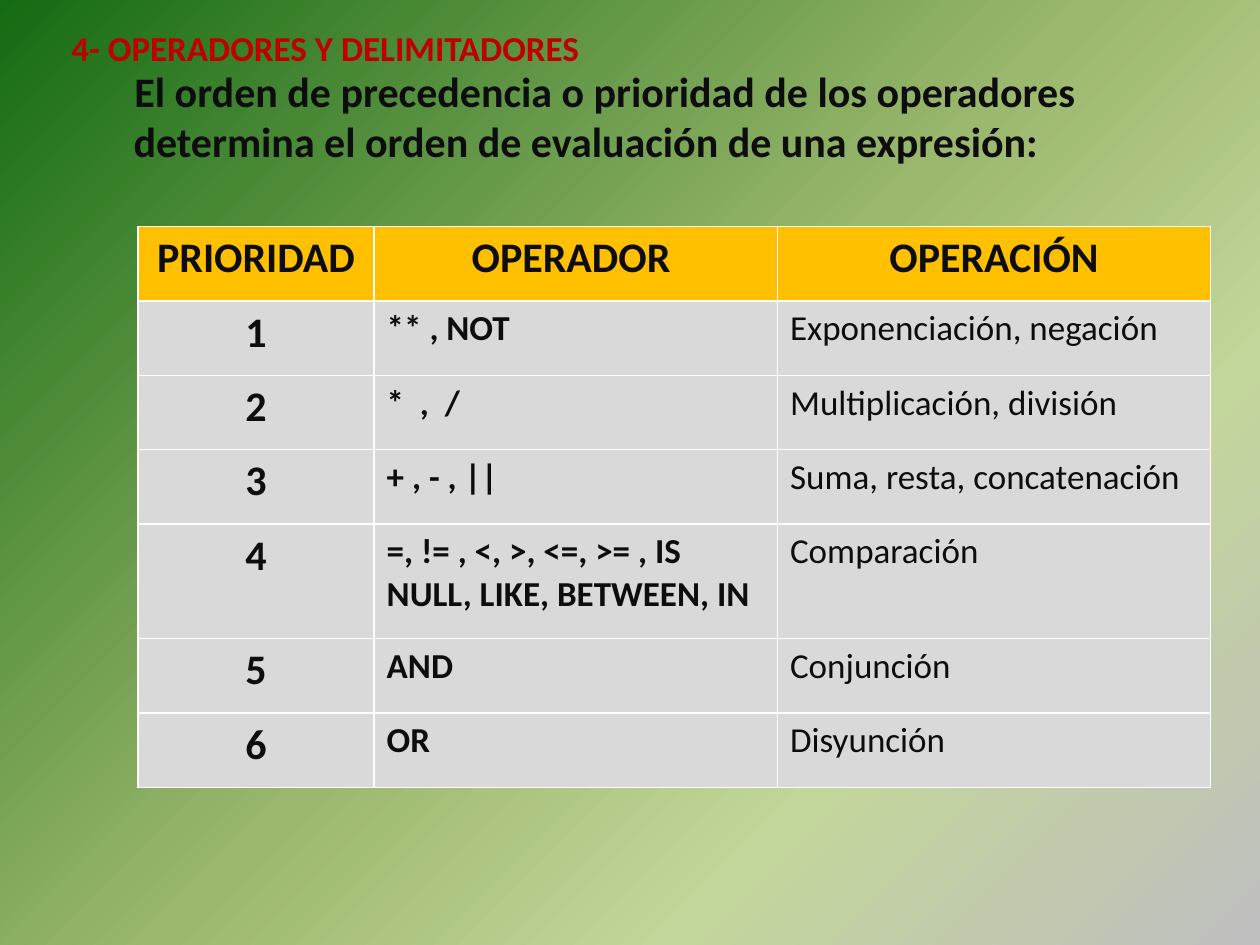
from pptx import Presentation
from pptx.dml.color import RGBColor
from pptx.enum.text import MSO_AUTO_SIZE as FIT, PP_ALIGN as AL
from pptx.oxml import parse_xml
from pptx.oxml.ns import nsdecls
from pptx.util import Pt

RED = RGBColor(0xC0, 0x00, 0x00)
INK = RGBColor(0x0D, 0x0D, 0x0D)
GOLD = RGBColor(0xFF, 0xC0, 0x00)
GREY = RGBColor(0xD9, 0xD9, 0xD9)
STOPS = [
    (0, RGBColor(0xBF, 0xBF, 0xBF)),
    (27, RGBColor(0xC3, 0xD6, 0x9B)),
    (50, RGBColor(0x9C, 0xB8, 0x6E)),
    (100, RGBColor(0x15, 0x6B, 0x13)),
]


def write(tf, text, size=24, color=INK, bold=True, align=None):
    p = tf.paragraphs[0]
    p.alignment = align
    r = p.add_run()
    r.text = text
    r.font.name = "Calibri"
    r.font.size = Pt(size)
    r.font.bold = bold
    r.font.color.rgb = color
    return p


prs = Presentation()
prs.slide_width, prs.slide_height = Pt(720), Pt(540)
s = prs.slides.add_slide(prs.slide_layouts[6])

stops = "".join(
    f'<a:gs pos="{pos * 1000}"><a:srgbClr val="{color}"/></a:gs>' for pos, color in STOPS
)
bg = parse_xml(
    f'<p:bg {nsdecls("p", "a")}><p:bgPr><a:gradFill><a:gsLst>{stops}</a:gsLst>'
    '<a:path path="circle"><a:fillToRect l="100000" t="100000"/></a:path>'
    "</a:gradFill><a:effectLst/></p:bgPr></p:bg>"
)
s.element.cSld.insert(0, bg)

tf = s.shapes.add_textbox(Pt(33.8), Pt(11.5), Pt(307.4), Pt(31.5)).text_frame
tf.word_wrap = False
tf.auto_size = FIT.SHAPE_TO_FIT_TEXT
write(tf, "4- OPERADORES Y DELIMITADORES", size=20, color=RED)

tf = s.shapes.add_textbox(Pt(33.8), Pt(33.8), Pt(686.2), Pt(65.4)).text_frame
tf.word_wrap = True
tf.auto_size = FIT.SHAPE_TO_FIT_TEXT
p = write(
    tf,
    "El orden de precedencia o prioridad de los operadores "
    "determina el orden de evaluación de una expresión:",
)
p.level = 1
pPr = p._p.get_or_add_pPr()
pPr.set("marL", str(Pt(35.5)))
pPr.set("indent", str(Pt(0.5)))

HEADS = ["PRIORIDAD", "OPERADOR ", "OPERACIÓN"]
ROWS = [
    ("** , NOT", "Exponenciación, negación"),
    ("*  ,  /", "Multiplicación, división"),
    ("+ , - , ||", "Suma, resta, concatenación"),
    ("=, != , <, >, <=, >= , IS NULL, LIKE, BETWEEN, IN", "Comparación"),
    ("AND", "Conjunción"),
    ("OR", "Disyunción"),
]
WIDTHS = [135, 230.5, 247.5]
HEIGHTS = [42.5] * 4 + [65.5] + [42.5] * 2

table = s.shapes.add_table(
    len(HEIGHTS), len(WIDTHS), Pt(78.8), Pt(129.5), Pt(sum(WIDTHS)), Pt(sum(HEIGHTS))
).table
for col, width in zip(table.columns, WIDTHS):
    col.width = Pt(width)
for row, height in zip(table.rows, HEIGHTS):
    row.height = Pt(height)

for cell, head in zip(table.rows[0].cells, HEADS):
    write(cell.text_frame, head, align=AL.CENTER)
for i, (operator, operation) in enumerate(ROWS, 1):
    write(table.cell(i, 0).text_frame, str(i), align=AL.CENTER)
    write(table.cell(i, 1).text_frame, operator, size=20)
    write(table.cell(i, 2).text_frame, operation, size=20, bold=False)
for i, row in enumerate(table.rows):
    for cell in row.cells:
        cell.fill.solid()
        cell.fill.fore_color.rgb = GREY if i else GOLD

prs.save("out.pptx")
